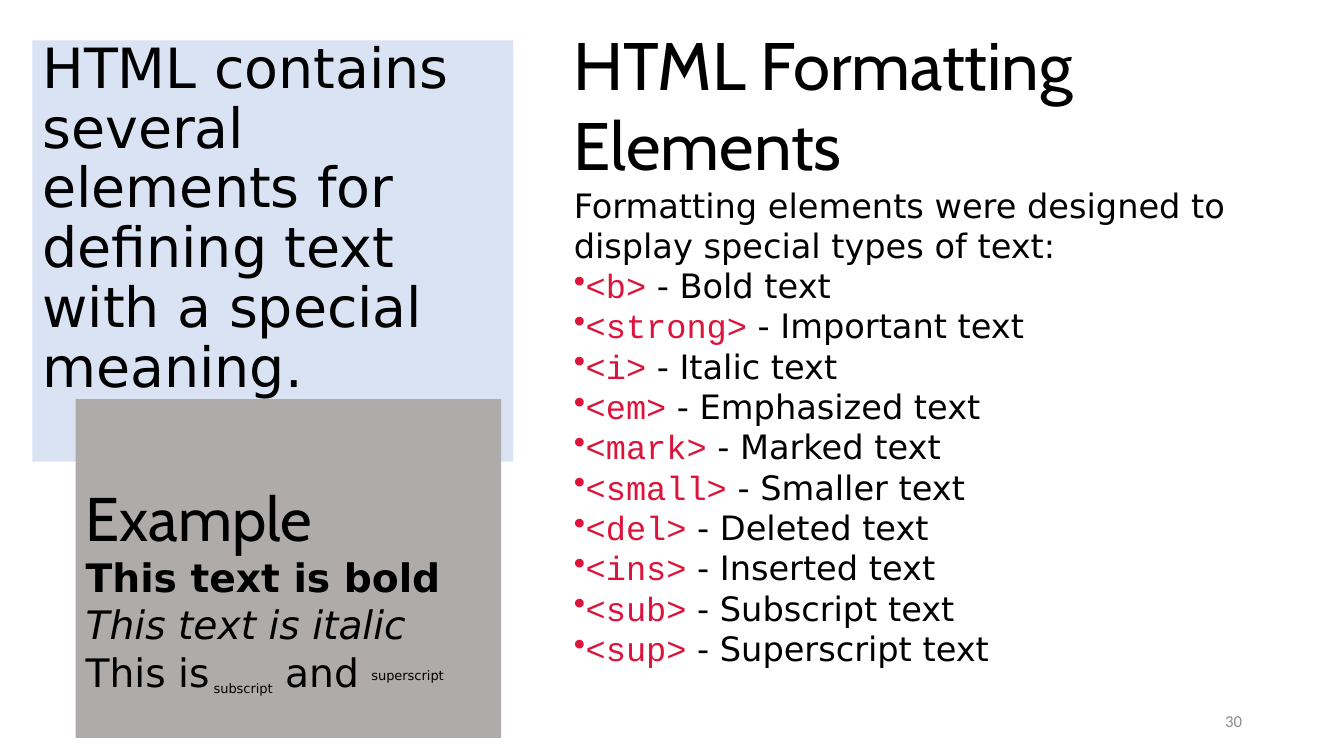
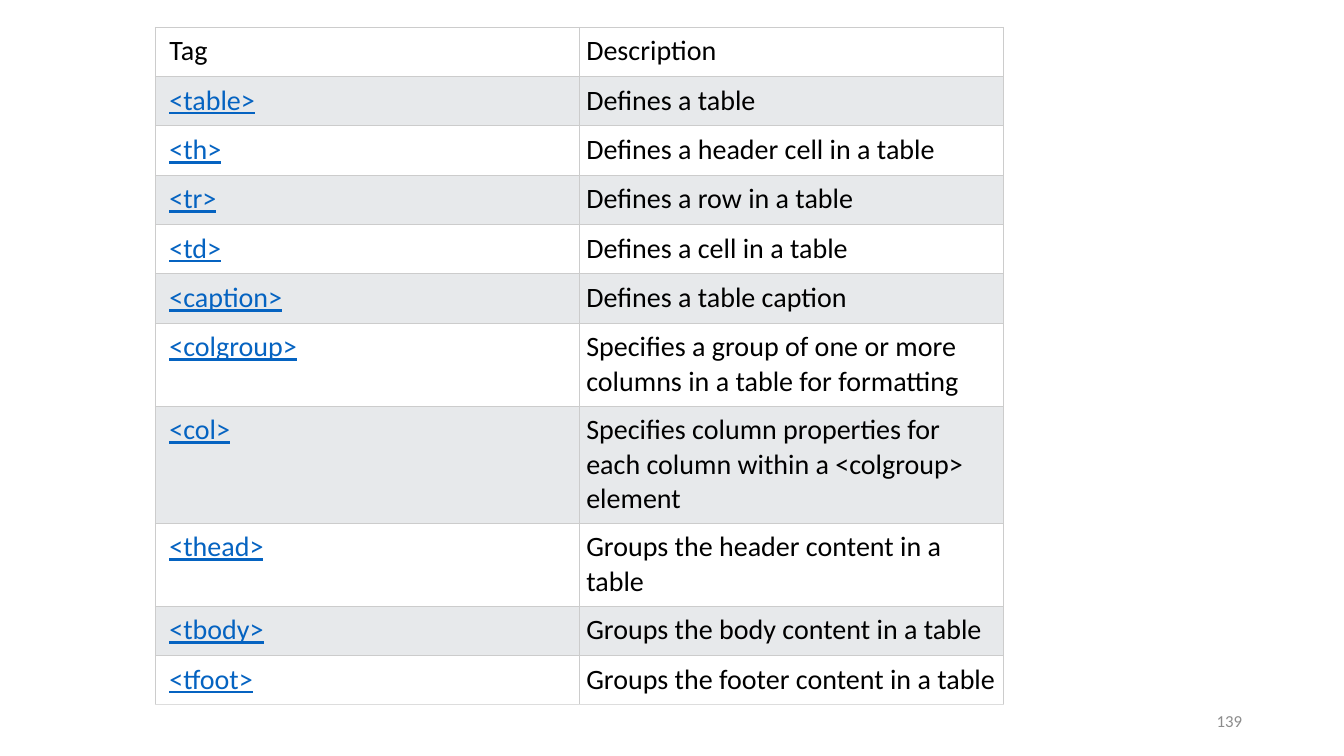
import pptx
import pptx.dml.color
import pptx.enum.text
import pptx.oxml
import pptx.oxml.ns
import pptx.util
import lxml.etree

RGBColor = pptx.dml.color.RGBColor
Anchor = pptx.enum.text.MSO_ANCHOR
Align = pptx.enum.text.PP_ALIGN

BLACK = RGBColor(0x00, 0x00, 0x00)
WHITE = RGBColor(0xFF, 0xFF, 0xFF)
PALE_BLUE = RGBColor(0xDA, 0xE3, 0xF3)
WARM_GREY = RGBColor(0xAF, 0xAB, 0xAB)
CRIMSON = RGBColor(0xDC, 0x14, 0x3C)
PAGE_GREY = RGBColor(0x8C, 0x8C, 0x8C)
LINK_BLUE = RGBColor(0x05, 0x63, 0xC1)
BAND_GREY = RGBColor(0xE7, 0xE9, 0xEB)
RULE_GREY = RGBColor(0xCC, 0xCC, 0xCC)
LAST_RULE_GREY = RGBColor(0xDD, 0xDD, 0xDD)

HEADING_FONT = "Cabin"
TEXT_FONT = "DejaVu Sans"
CODE_FONT = "Courier New"
TABLE_FONT = "Calibri"

TITLE_AND_CONTENT, BLANK = 1, 6

FORMATTING_TAGS = [
    ("<b>", "Bold"), ("<strong>", "Important"), ("<i>", "Italic"),
    ("<em>", "Emphasized"), ("<mark>", "Marked"), ("<small>", "Smaller"),
    ("<del>", "Deleted"), ("<ins>", "Inserted"), ("<sub>", "Subscript"),
    ("<sup>", "Superscript"),
]

TABLE_ROWS = [
    ("Tag", "Description", 1),
    ("<table>", "Defines a table", 1),
    ("<th>", "Defines a header cell in a table", 1),
    ("<tr>", "Defines a row in a table", 1),
    ("<td>", "Defines a cell in a table", 1),
    ("<caption>", "Defines a table caption", 1),
    ("<colgroup>", "Specifies a group of one or more columns in a table for formatting", 2),
    ("<col>", "Specifies column properties for each column within a <colgroup> element", 3),
    ("<thead>", "Groups the header content in a table", 2),
    ("<tbody>", "Groups the body content in a table", 1),
    ("<tfoot>", "Groups the footer content in a table", 1),
]


def span(text, size, font=TEXT_FONT, color=BLACK, baseline=0, **flags):
    return text, size, font, color, baseline, flags


class Deck:
    def __init__(self):
        self.presentation = pptx.Presentation()
        self.presentation.slide_width = pptx.util.Inches(13.33)
        self.presentation.slide_height = pptx.util.Inches(7.5)
        self.slide = None

    def across(self, percent):
        return round(self.presentation.slide_width * percent / 100)

    def down(self, percent):
        return round(self.presentation.slide_height * percent / 100)

    def start(self, layout, number):
        self.slide = self.presentation.slides.add_slide(
            self.presentation.slide_layouts[layout])
        self.text_box((70.67, 92.67, 22.5, 5.33),
                      [[span(number, 12, TABLE_FONT, PAGE_GREY)]],
                      anchor=Anchor.MIDDLE, align=Align.RIGHT)

    def text_box(self, area, paragraphs, **style):
        left, top, width, height = area
        shape = self.slide.shapes.add_textbox(
            self.across(left), self.down(top), self.across(width), self.down(height))
        self.fill_text(shape, paragraphs, **style)

    def placeholder(self, index, area, paragraphs, **style):
        shape = self.slide.placeholders[index]
        left, top, width, height = area
        shape.left, shape.top = self.across(left), self.down(top)
        shape.width, shape.height = self.across(width), self.down(height)
        self.fill_text(shape, paragraphs, **style)

    def fill_text(self, shape, paragraphs, fill=None, side=0.1, head=0.05,
                  anchor=Anchor.TOP, align=Align.LEFT, spacing=1.0, bullets_from=None):
        if fill is not None:
            shape.fill.solid()
            shape.fill.fore_color.rgb = fill
        frame = shape.text_frame
        frame.word_wrap = True
        frame.auto_size = pptx.enum.text.MSO_AUTO_SIZE.NONE
        frame.vertical_anchor = anchor
        frame.margin_left = frame.margin_right = pptx.util.Inches(side)
        frame.margin_top = pptx.util.Inches(head)
        frame.margin_bottom = 0 if head == 0 else pptx.util.Inches(0.05)
        for index, spans in enumerate(paragraphs):
            paragraph = frame.paragraphs[0] if index == 0 else frame.add_paragraph()
            bulleted = bullets_from is not None and index >= bullets_from
            self.bullet(paragraph, bulleted)
            paragraph.alignment = align
            paragraph.line_spacing = spacing
            paragraph.space_before = pptx.util.Pt(0)
            self.fill_paragraph(paragraph, spans)

    def bullet(self, paragraph, shown):
        properties = paragraph._p.get_or_add_pPr()
        properties.set("marL", "0")
        properties.set("indent", "0")
        tag = "a:buChar" if shown else "a:buNone"
        mark = lxml.etree.SubElement(properties, pptx.oxml.ns.qn(tag))
        if shown:
            mark.set("char", "•")

    def fill_paragraph(self, paragraph, spans):
        for text, size, font, color, baseline, flags in spans:
            run = paragraph.add_run()
            run.text = text
            run.font.size = pptx.util.Pt(size)
            run.font.name = font
            run.font.color.rgb = color
            for flag, value in flags.items():
                setattr(run.font, flag, value)
            if baseline:
                run._r.get_or_add_rPr().set("baseline", str(baseline * 1000))

    def table(self, left, top, width, row_height, line_height, rows):
        heights = [self.down(row_height + line_height * (lines - 1))
                   for _, _, lines in rows]
        table = self.slide.shapes.add_table(
            len(rows), 2, self.across(left), self.down(top),
            self.across(width), sum(heights)).table
        table.first_row = table.horz_banding = False
        for row, (tag, description, _) in enumerate(rows):
            table.rows[row].height = heights[row]
            fill = BAND_GREY if row % 2 else WHITE
            bottom = LAST_RULE_GREY if row == len(rows) - 1 else RULE_GREY
            is_link = row > 0
            tag_span = span(tag, 20, TABLE_FONT, LINK_BLUE if is_link else BLACK,
                            underline=is_link)
            self.cell(table.cell(row, 0), tag_span, 0.14, fill, bottom)
            self.cell(table.cell(row, 1), span(description, 20, TABLE_FONT),
                      0.07, fill, bottom)

    def cell(self, cell, content, inset, fill, bottom):
        cell.margin_left = pptx.util.Inches(inset)
        cell.margin_top = cell.margin_right = cell.margin_bottom = pptx.util.Inches(0.07)
        properties = cell._tc.get_or_add_tcPr()
        for side, color in zip("LRTB", (RULE_GREY, RULE_GREY, RULE_GREY, bottom)):
            properties.append(pptx.oxml.parse_xml(
                f'<a:ln{side} {pptx.oxml.ns.nsdecls("a")} w="9525"><a:solidFill>'
                f'<a:srgbClr val="{color}"/></a:solidFill></a:ln{side}>'))
        cell.fill.solid()
        cell.fill.fore_color.rgb = fill
        self.fill_paragraph(cell.text_frame.paragraphs[0], [content])


def formatting_slide(deck):
    deck.start(TITLE_AND_CONTENT, "30")
    deck.placeholder(
        0, (2.4, 5.33, 35.78, 55.73),
        [[span("HTML contains several elements for defining text with a special meaning.",
               39.6)]],
        fill=PALE_BLUE, head=0, spacing=0.9)
    deck.placeholder(
        1, (5.63, 52.8, 31.66, 44.8),
        [[span("Example", 44, HEADING_FONT)],
         [span("This text is bold", 28, bold=True)],
         [span("This text is italic", 28, italic=True)],
         [span("This is", 28), span(" subscript", 16, baseline=-30),
          span(" and ", 28), span("superscript", 16, baseline=30)]],
        fill=WARM_GREY, head=0.8)
    tag_lines = [[span(tag, 24, CODE_FONT, CRIMSON), span(f" - {meaning} text", 24)]
                 for tag, meaning in FORMATTING_TAGS]
    deck.text_box(
        (42.69, 0.93, 51.69, 98),
        [[span("HTML Formatting Elements", 48, HEADING_FONT)],
         [span("Formatting elements were designed to display special types of text:", 24)],
         *tag_lines],
        side=0, head=0.16, bullets_from=2)


def table_tags_slide(deck):
    deck.start(BLANK, "139")
    deck.table(11.55, 3.6, 63.1, 6.53, 4.45, TABLE_ROWS)


def main():
    deck = Deck()
    formatting_slide(deck)
    table_tags_slide(deck)
    deck.presentation.save("out.pptx")


if __name__ == "__main__":
    main()
